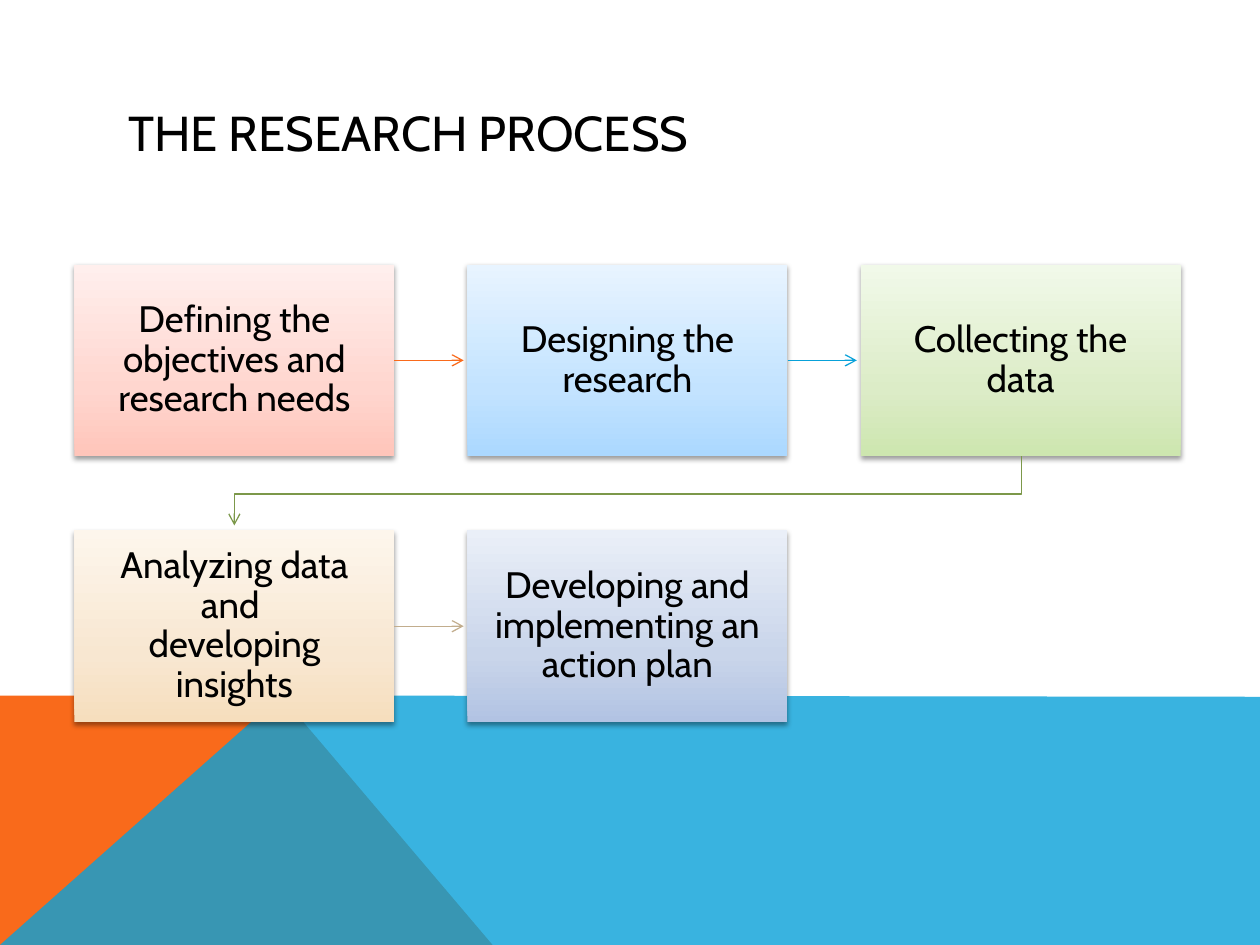
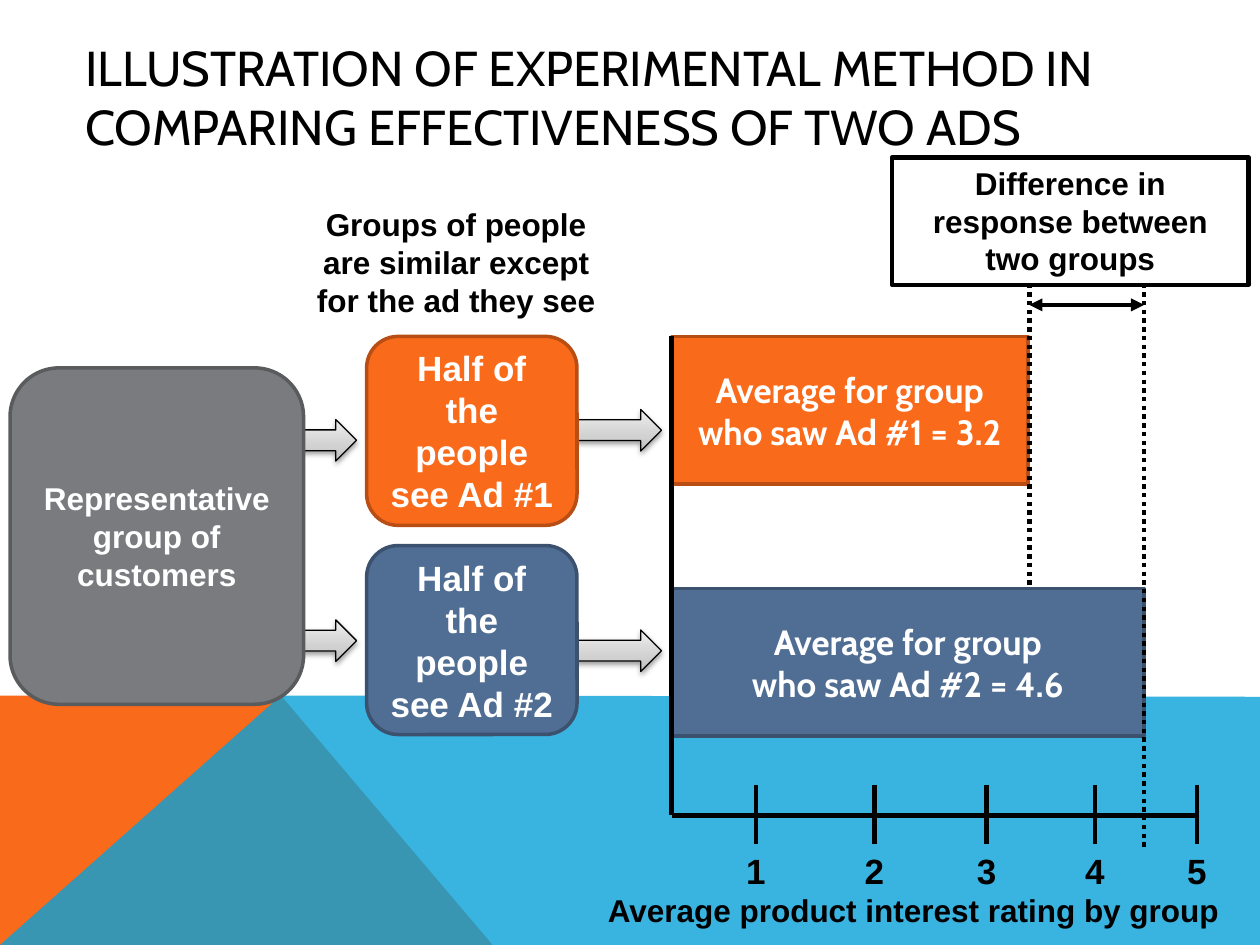
from lxml import etree
from pptx import Presentation
from pptx.dml.color import RGBColor
from pptx.enum.dml import MSO_LINE
from pptx.enum.shapes import MSO_CONNECTOR, MSO_SHAPE
from pptx.enum.text import MSO_ANCHOR, PP_ALIGN
from pptx.oxml.ns import qn
from pptx.util import Inches, Pt

RECTANGLE = MSO_SHAPE.RECTANGLE
ROUNDED = MSO_SHAPE.ROUNDED_RECTANGLE
RIGHT_ARROW = MSO_SHAPE.RIGHT_ARROW
STRAIGHT = MSO_CONNECTOR.STRAIGHT
DOTTED = MSO_LINE.ROUND_DOT
TOP, MIDDLE = MSO_ANCHOR.TOP, MSO_ANCHOR.MIDDLE
LEFT, CENTER = PP_ALIGN.LEFT, PP_ALIGN.CENTER
RIGHT_SIDE = 3

BLACK = RGBColor(0x00, 0x00, 0x00)
WHITE = RGBColor(0xFF, 0xFF, 0xFF)
ORANGE = RGBColor(0xF9, 0x6A, 0x1B)
DARK_ORANGE = RGBColor(0xB8, 0x4E, 0x14)
BLUE = RGBColor(0x08, 0xA1, 0xD9)
SLATE = RGBColor(0x50, 0x6E, 0x94)
DARK_SLATE = RGBColor(0x3B, 0x51, 0x6D)
GRAY = RGBColor(0x79, 0x7B, 0x7E)
DARK_GRAY = RGBColor(0x5A, 0x5B, 0x5D)
GREEN = RGBColor(0x7C, 0x98, 0x4A)
TAN = RGBColor(0xC2, 0xAD, 0x8D)


def gradient_colors(*codes):
    return [RGBColor.from_string(code) for code in codes]


RED_SHADES = gradient_colors("FFC5BA", "FFD6CF", "FFEFED")
BLUE_SHADES = gradient_colors("ABD8FF", "C3E3FF", "E8F4FF")
GREEN_SHADES = gradient_colors("CDE6AF", "DCECC7", "F1F9E9")
TAN_SHADES = gradient_colors("F6DEBD", "F8E7D1", "FDF6EC")
SLATE_SHADES = gradient_colors("B2C3E3", "C9D5EA", "EAEFF8")
GRAY_SHADES = gradient_colors("BDBDBD", "D1D1D1", "EEEEEE")

TITLE = {"name": "Cabin", "size": Pt(28), "bold": False}
STEP = {"name": "Cabin", "size": Pt(21), "bold": False}
BAR = {"name": "Cabin", "size": Pt(20), "bold": True}
GROUP = {"name": "Arial", "size": Pt(20), "bold": True}
NOTE = {"name": "Arial", "size": Pt(18), "bold": True}


def set_values(target, values):
    for name, value in values.items():
        setattr(target, name, value)


def add_element(parent, tag, **attributes):
    return etree.SubElement(parent, qn(tag), attributes)


class Deck:
    def __init__(self):
        self.presentation = Presentation()
        set_values(self.presentation, {"slide_width": Inches(10), "slide_height": Inches(7.5)})
        self.slide = None

    def add_slide(self):
        self.slide = self.presentation.slides.add_slide(self.presentation.slide_layouts[6])
        self.band([(0, 7.5), (0, 5.52), (2.23, 5.52), (3.91, 7.5)], ORANGE)
        self.band([(0, 7.5), (2.23, 5.52), (10, 5.53), (10, 7.5)], BLUE, 80)

    def outline(self, points, close):
        points = [(Inches(x), Inches(y)) for x, y in points]
        builder = self.slide.shapes.build_freeform(*points[0])
        builder.add_line_segments(points[1:], close=close)
        shape = builder.convert_to_shape()
        shape.shadow.inherit = False
        return shape

    def band(self, points, color, opacity=100):
        shape = self.outline(points, True)
        self.paint(shape, color)
        if opacity < 100:
            color_element = shape.element.spPr.find(f"{qn('a:solidFill')}/{qn('a:srgbClr')}")
            add_element(color_element, "a:alpha", val=str(opacity * 1000))

    def paint(self, shape, fill=None, line=None, width=0.75):
        if fill is None:
            shape.fill.background()
        elif isinstance(fill, list):
            self.gradient(shape, fill)
        else:
            shape.fill.solid()
            shape.fill.fore_color.rgb = fill
        if line is None:
            shape.line.fill.background()
        else:
            shape.line.color.rgb = line
            shape.line.width = Pt(width)

    def gradient(self, shape, colors):
        shape.fill.gradient()
        shape.fill.gradient_angle = 90
        stops = next(shape.element.spPr.iter(qn("a:gsLst")))
        for stop in list(stops):
            stops.remove(stop)
        for position, color in zip((0, 35, 100), colors):
            stop = add_element(stops, "a:gs", pos=str(position * 1000))
            add_element(stop, "a:srgbClr", val=str(color))

    def drop_shadow(self, shape):
        effects = shape.element.spPr.find(qn("a:effectLst"))
        shadow = add_element(effects, "a:outerShdw", blurRad="40000", dist="20000",
                             dir="5400000", rotWithShape="0")
        color = add_element(shadow, "a:srgbClr", val=str(BLACK))
        add_element(color, "a:alpha", val="38000")

    def label(self, shape, text, font, color=BLACK, align=CENTER, spacing=1.0, **frame_values):
        frame = shape.text_frame
        set_values(frame, {"word_wrap": True, "vertical_anchor": MIDDLE} | frame_values)
        frame.text = text
        for paragraph in frame.paragraphs:
            set_values(paragraph, {"alignment": align, "line_spacing": spacing})
            for run in paragraph.runs:
                set_values(run.font, font)
                run.font.color.rgb = color

    def text(self, box, text, font, **values):
        shape = self.slide.shapes.add_textbox(*map(Inches, box))
        self.label(shape, text, font, **values)

    def title(self, box, text):
        self.text(box, text, TITLE, align=LEFT)

    def shape(self, kind, box, fill=None, line=None, width=2):
        shape = self.slide.shapes.add_shape(kind, *map(Inches, box))
        shape.shadow.inherit = False
        self.paint(shape, fill, line, width)
        return shape

    def step(self, box, text, shades):
        shape = self.shape(RECTANGLE, box, shades)
        self.drop_shadow(shape)
        margins = {f"margin_{side}": Inches(0.16) for side in ("left", "top", "right", "bottom")}
        self.label(shape, text, STEP, spacing=0.9, **margins)
        return shape

    def block_arrow(self, left, top):
        shape = self.shape(RIGHT_ARROW, (left, top, 1, 0.33), GRAY_SHADES, BLACK, 0.75)
        self.drop_shadow(shape)

    def arrowheads(self, shape, **heads):
        line = shape.element.spPr.find(qn("a:ln"))
        for end, kind in heads.items():
            add_element(line, f"a:{end}End", type=kind)

    def line(self, begin, end, color=BLACK, width=2.5, dash=None, start=None, **heads):
        connector = self.slide.shapes.add_connector(STRAIGHT, *map(Inches, begin + end))
        if start is not None:
            connector.begin_connect(start, RIGHT_SIDE)
        connector.line.color.rgb = color
        set_values(connector.line, {"width": Pt(width), "dash_style": dash})
        self.arrowheads(connector, **heads)
        add_element(connector.element.spPr, "a:effectLst")

    def bent_arrow(self, points, color):
        shape = self.outline(points, False)
        self.paint(shape, None, color)
        self.arrowheads(shape, tail="arrow")


def research_process(deck):
    deck.add_slide()
    deck.title((0.92, 0.75, 8.22, 0.6), "THE RESEARCH PROCESS")
    width, height = 2.54, 1.52
    steps = [
        ("Defining the objectives and research needs", RED_SHADES, ORANGE),
        ("Designing the research", BLUE_SHADES, BLUE),
        ("Collecting the data", GREEN_SHADES, None),
        ("Analyzing data and \vdeveloping insights", TAN_SHADES, TAN),
        ("Developing and implementing an action plan", SLATE_SHADES, None),
    ]
    for index, (text, shades, arrow_color) in enumerate(steps):
        row, column = divmod(index, 3)
        left, top = 0.59 + 3.12 * column, 2.1 + 2.11 * row
        shape = deck.step((left, top, width, height), text, shades)
        if arrow_color is not None:
            right, middle = left + width, top + height / 2
            deck.line((right, middle), (right + 0.55, middle), arrow_color, 0.75,
                      start=shape, tail="arrow")
    deck.bent_arrow([(8.11, 3.62), (8.11, 3.92), (1.86, 3.92), (1.86, 4.17)], GREEN)


def experimental_method(deck):
    deck.add_slide()
    for left, top in ((4.25, 5), (4.25, 3.25), (1.83, 4.92), (1.83, 3.33)):
        deck.block_arrow(left, top)
    deck.title((0.58, 0, 9.5, 1.53),
               "ILLUSTRATION OF EXPERIMENTAL METHOD IN COMPARING EFFECTIVENESS OF TWO ADS")

    blocks = [
        (ROUNDED, (2.91, 2.67, 1.67, 1.5), ORANGE, DARK_ORANGE, GROUP,
         "Half of the people see Ad #1"),
        (ROUNDED, (2.91, 4.33, 1.67, 1.5), SLATE, DARK_SLATE, GROUP,
         "Half of the people see Ad #2"),
        (RECTANGLE, (5.33, 2.67, 2.83, 1.17), ORANGE, DARK_ORANGE, BAR,
         "Average for group who saw Ad #1 = 3.2"),
        (RECTANGLE, (5.33, 4.67, 3.75, 1.17), SLATE, DARK_SLATE, BAR,
         "Average for group\nwho saw Ad #2 = 4.6"),
        (ROUNDED, (0.08, 2.92, 2.33, 2.67), GRAY, DARK_GRAY, NOTE,
         "Representative group of customers"),
    ]
    for kind, box, fill, line, font, text in blocks:
        deck.label(deck.shape(kind, box, fill, line), text, font, WHITE)

    first_average, second_average = 8.17, 9.08
    deck.line((first_average, 2.25), (first_average, 4.67), dash=DOTTED)
    deck.line((second_average, 2.25), (second_average, 6.75), dash=DOTTED)
    deck.line((second_average, 2.42), (first_average, 2.42), head="triangle", tail="triangle")
    difference = deck.shape(RECTANGLE, (7.08, 1.25, 2.83, 1.01), line=BLACK, width=2.5)
    deck.label(difference, "Difference in response between two groups", NOTE,
               vertical_anchor=TOP)

    axis_left, axis_right, axis_top = 5.33, 9.5, 6.47
    deck.line((axis_left, 2.67), (axis_left, axis_top), width=3)
    deck.line((axis_right, axis_top), (axis_left, axis_top), width=3)
    for rating, tick in enumerate((6, 6.94, 7.83, 8.69, axis_right), 1):
        deck.line((tick, 6.23), (tick, 6.7))
        deck.text((tick - 0.18, 6.69, 0.36, 0.41), str(rating), GROUP,
                  word_wrap=False, vertical_anchor=TOP)
    deck.text((4.75, 7.02, 5, 0.38), "Average product interest rating by group", NOTE,
              margin_left=0, margin_right=0, vertical_anchor=TOP)
    deck.text((2.33, 1.58, 2.58, 1.01), "Groups of people are similar except for the ad they see",
              NOTE, vertical_anchor=TOP)


def main():
    deck = Deck()
    research_process(deck)
    experimental_method(deck)
    deck.presentation.save("out.pptx")


if __name__ == "__main__":
    main()
